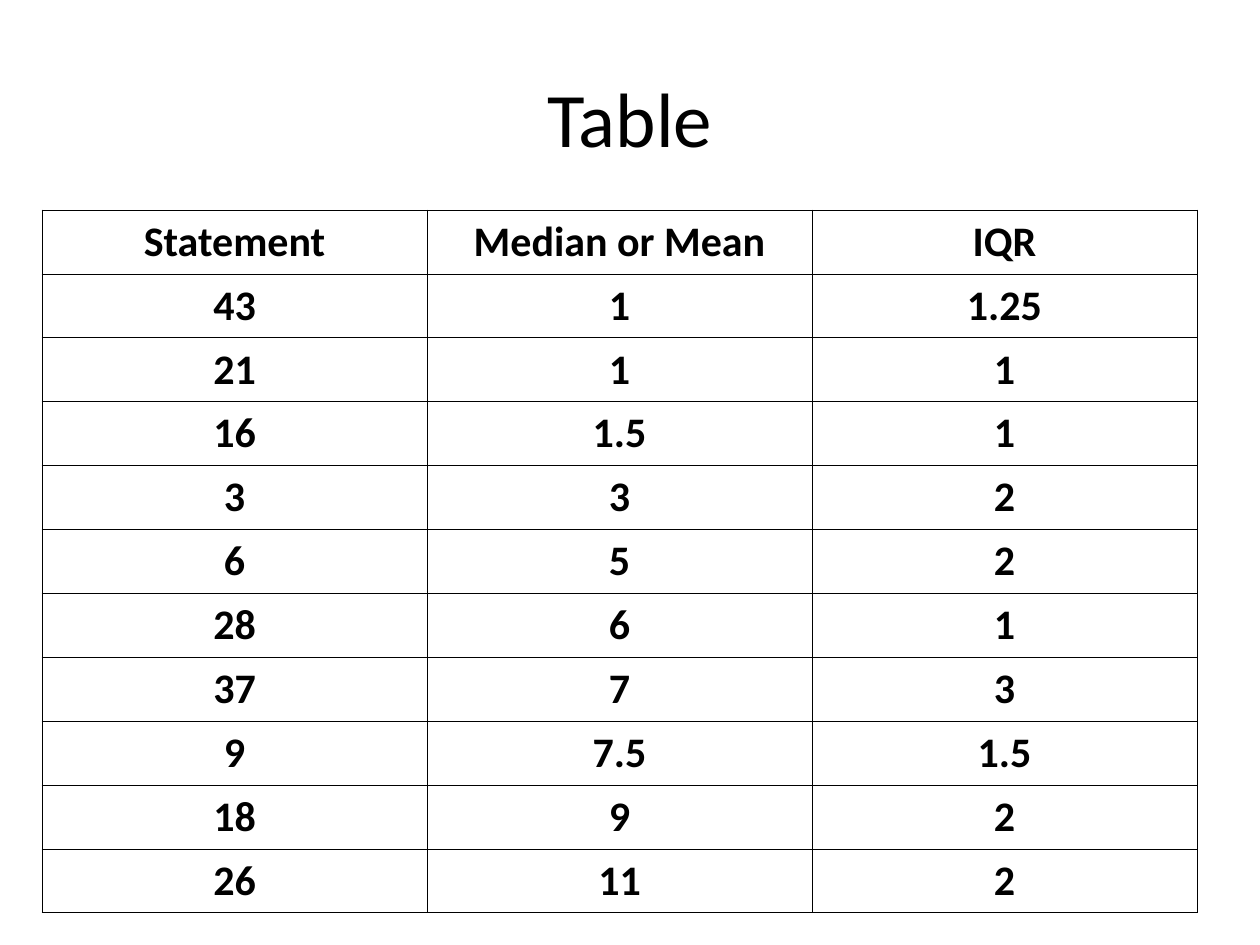
"""Build a slide with a title and a bordered table of statement scores."""
import dataclasses

import pptx
import pptx.dml.color
import pptx.enum.text
import pptx.oxml.ns
import pptx.util
from lxml import etree


@dataclasses.dataclass(frozen=True)
class Theme:
    """Colours, font, type sizes and line width of the slide."""
    ink: str = "000000"
    paper: str = "FFFFFF"
    font: str = "Calibri"
    title_size: int = 44
    table_size: int = 24
    border_width: float = 0.45


THEME = Theme()
SLIDE_WIDTH = pptx.util.Inches(10)
SLIDE_HEIGHT = pptx.util.Inches(7.5)
TITLE_BOX = (0.05, 0.04, 0.9, 1 / 6)
TABLE_BOX = (1 / 30, 2 / 9, 11 / 12, 11 / 15)
SCORES = (
    ("Statement", "Median or Mean", "IQR"),
    ("43", "1", "1.25"),
    ("21", "1", "1"),
    ("16", "1.5", "1"),
    ("3", "3", "2"),
    ("6", "5", "2"),
    ("28", "6", "1"),
    ("37", "7", "3"),
    ("9", "7.5", "1.5"),
    ("18", "9", "2"),
    ("26", "11", "2"),
)


def to_lengths(box):
    """Turn shares of the slide into left, top, width and height."""
    sides = (SLIDE_WIDTH, SLIDE_HEIGHT) * 2
    return [round(share * side) for share, side in zip(box, sides)]


def write_text(text_frame, text, *, size, bold=False):
    """Write one centred paragraph in the theme's font and colour."""
    paragraph = text_frame.paragraphs[0]
    paragraph.alignment = pptx.enum.text.PP_ALIGN.CENTER
    run = paragraph.add_run()
    run.text = text
    run.font.name = THEME.font
    run.font.size = pptx.util.Pt(size)
    run.font.bold = bold
    run.font.color.rgb = pptx.dml.color.RGBColor.from_string(THEME.ink)


def draw_borders(cell):
    """Draw a thin line on all four sides of a cell."""
    properties = cell._tc.get_or_add_tcPr()
    qualified = pptx.oxml.ns.qn
    for index, side in enumerate(("lnL", "lnR", "lnT", "lnB")):
        line = etree.Element(qualified(f"a:{side}"))
        line.set("w", str(pptx.util.Pt(THEME.border_width)))
        fill = etree.SubElement(line, qualified("a:solidFill"))
        etree.SubElement(fill, qualified("a:srgbClr")).set("val", THEME.ink)
        properties.insert(index, line)


def add_title(slide, box, text):
    """Place and format the title placeholder."""
    title = slide.shapes.title
    title.left, title.top, title.width, title.height = to_lengths(box)
    title.text_frame.vertical_anchor = pptx.enum.text.MSO_ANCHOR.MIDDLE
    write_text(title.text_frame, text, size=THEME.title_size)


def add_score_table(slide, box, rows):
    """Fill a box with an evenly divided, bordered table."""
    frame = slide.shapes.add_table(len(rows), len(rows[0]), *to_lengths(box))
    table = frame.table
    table.first_row = False
    table.horz_banding = False
    for row_index, values in enumerate(rows):
        for column_index, value in enumerate(values):
            cell = table.cell(row_index, column_index)
            cell.fill.solid()
            cell.fill.fore_color.rgb = pptx.dml.color.RGBColor.from_string(THEME.paper)
            cell.vertical_anchor = pptx.enum.text.MSO_ANCHOR.MIDDLE
            cell.margin_left = cell.margin_right = pptx.util.Inches(0.08)
            cell.margin_top = cell.margin_bottom = pptx.util.Inches(0.05)
            write_text(cell.text_frame, value, size=THEME.table_size, bold=True)
            draw_borders(cell)


def main():
    """Build and save the presentation."""
    presentation = pptx.Presentation()
    presentation.slide_width = SLIDE_WIDTH
    presentation.slide_height = SLIDE_HEIGHT
    layout = presentation.slide_layouts.get_by_name("Title Only")
    slide = presentation.slides.add_slide(layout)
    add_title(slide, TITLE_BOX, "Table")
    add_score_table(slide, TABLE_BOX, SCORES)
    presentation.save("out.pptx")


if __name__ == "__main__":
    main()
